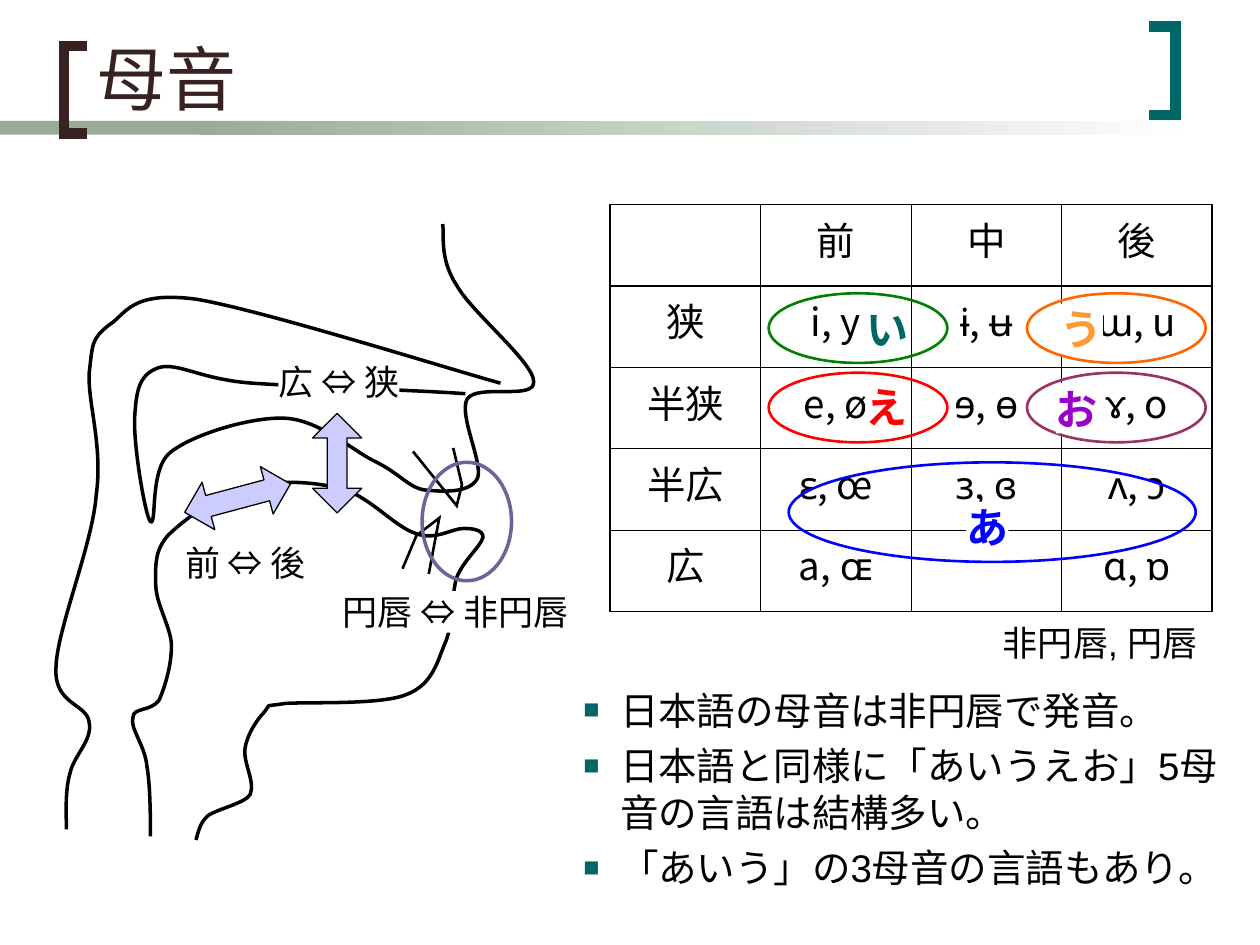
"""Build a slide on vowels with a vocal tract, a vowel table and notes."""
from dataclasses import dataclass

from lxml import etree
from pptx import Presentation
from pptx.dml.color import RGBColor
from pptx.enum.shapes import MSO_SHAPE
from pptx.enum.text import MSO_ANCHOR, MSO_AUTO_SIZE, PP_ALIGN
from pptx.oxml.ns import qn
from pptx.util import Pt

RECT, OVAL, ARROW = MSO_SHAPE.RECTANGLE, MSO_SHAPE.OVAL, MSO_SHAPE.UP_DOWN_ARROW
TOP, BOTTOM = MSO_ANCHOR.TOP, MSO_ANCHOR.BOTTOM
LEFT, CENTER = PP_ALIGN.LEFT, PP_ALIGN.CENTER
GROW, FIXED = MSO_AUTO_SIZE.SHAPE_TO_FIT_TEXT, MSO_AUTO_SIZE.NONE


@dataclass(frozen=True)
class Theme:
    """Colours, fonts and type sizes."""
    font: str = "Arial"
    asian: str = "Noto Sans CJK JP"
    ink: str = "000000"
    paper: str = "FFFFFF"
    brown: str = "372221"
    teal: str = "006666"
    sage: str = "9AAC98"
    lilac: str = "CCCCFF"
    slate: str = "666699"
    title: int = 40
    kana: int = 24
    body: int = 22
    label: int = 20


T = Theme()

FACE = [
    (253, 128), (254, 134), (251, 148), (261, 163), (269, 178), (305, 207), (305, 218),
    (306, 229), (273, 219), (267, 228), (262, 237), (276, 264), (273, 273),
    (269, 282), (253, 281), (243, 280), (234, 279), (229, 271), (215, 264),
    (202, 258), (183, 240), (163, 239), (144, 238), (111, 248), (98, 258),
    (85, 267), (90, 301), (86, 298), (83, 295), (76, 253), (77, 238),
    (78, 224), (79, 214), (91, 210), (102, 207), (115, 217), (145, 219),
    (174, 221), (240, 223), (266, 225)]
JAW = [
    (112, 480), (113, 477), (114, 470), (119, 466), (125, 462), (140, 459), (143, 454),
    (146, 447), (139, 436), (140, 428), (141, 420), (147, 411), (151, 407),
    (155, 402), (150, 404), (163, 402), (176, 401), (217, 403), (232, 397),
    (248, 391), (250, 377), (255, 366), (259, 355), (258, 340), (261, 330),
    (265, 320), (275, 312), (276, 307), (276, 303), (271, 302), (265, 302),
    (258, 302), (249, 309), (238, 305), (225, 301), (211, 283), (194, 279),
    (178, 275), (156, 274), (139, 279), (123, 284), (105, 297), (96, 306),
    (88, 315), (89, 324), (89, 334), (89, 345), (98, 359), (98, 369),
    (98, 381), (94, 393), (91, 400), (86, 407), (76, 404), (76, 410),
    (74, 416), (83, 426), (84, 438), (86, 449), (86, 470), (86, 478)]
THROAT = [
    (286, 219), (257, 211), (149, 177), (112, 171), (74, 166), (72, 180), (62, 186),
    (52, 194), (53, 197), (51, 213), (50, 230), (59, 255), (55, 283),
    (53, 311), (32, 361), (32, 382), (31, 403), (50, 402), (51, 413),
    (53, 423), (42, 432), (40, 442), (37, 452), (38, 467), (38, 474)]
LIPS = [[(259, 256), (264, 277), (261, 289), (236, 258)],
        [(230, 325), (238, 306), (251, 296), (245, 328)]]

VOWELS = [["", "前", "中", "後"],
          ["狭", "i, y", "ɨ, ʉ", "ɯ, u"],
          ["半狭", "e, ø", "ɘ, ɵ", "ɤ, o"],
          ["半広", "ɛ, œ", "ɜ, ɞ", "ʌ, ɔ"],
          ["広", "a, ɶ", "", "ɑ, ɒ"]]
RINGS = [(439.2, 167.6, 102.2, 39.8, "008000"), (439.2, 213, 102.2, 39.8, "FF0000"),
         (586.8, 167.6, 102.2, 39.8, "FF6600"), (586.8, 213, 102.2, 39.8, "993366"),
         (450.7, 264.2, 232.6, 56.9, "0000FF")]
KANA = [("あ", 552.2, 286.6, "0000FF"), ("い", 495.4, 173.5, T.teal),
        ("う", 606.2, 173.5, "FF9933"), ("え", 494.6, 218.2, "FF0000"),
        ("お", 603.4, 218.9, "9900CC")]
LABELS = [("円唇 ⇔ 非円唇", 195.8, 337.7, 129.6), ("広 ⇔ 狭", 159.1, 205.9, 69.1),
          ("前 ⇔ 後", 105.8, 309.6, 69.1)]
NOTES = ["日本語の母音は非円唇で発音。",
         "日本語と同様に「あいうえお」5母音の言語は結構多い。",
         "「あいう」の3母音の言語もあり。"]


def rgb(code):
    """Turn a hex code into a colour."""
    return RGBColor.from_string(code)


def paint(shape, fill=None, line=None, width=1):
    """Set the fill and line of a shape and drop its shadow."""
    shape.shadow.inherit = False
    for part, code in ((shape.fill, fill), (shape.line.fill, line)):
        if code:
            part.solid()
            part.fore_color.rgb = rgb(code)
        else:
            part.background()
    if line:
        shape.line.width = Pt(width)


def shape(shapes, kind, box, fill=None, line=None, width=1):
    """Add a preset shape."""
    item = shapes.add_shape(kind, *map(Pt, box))
    paint(item, fill, line, width)
    return item


def trace(shapes, points, line=T.ink, width=2):
    """Add an open outline through the points."""
    pen = shapes.build_freeform(*map(Pt, points[0]))
    pen.add_line_segments([tuple(map(Pt, p)) for p in points[1:]], close=False)
    item = pen.convert_to_shape()
    paint(item, None, line, width)
    rim = item._element.spPr.find(qn("a:ln"))
    etree.SubElement(rim, qn("a:miter"), lim="800000")
    return item


def curve(shapes, knots):
    """Add an open outline of cubic curves, three knots to a curve."""
    item = trace(shapes, knots)
    route = next(item._element.iter(qn("a:path")))
    steps = route.findall(qn("a:lnTo"))
    for i in range(0, len(steps), 3):
        bend = etree.SubElement(route, qn("a:cubicBezTo"))
        for step in steps[i:i + 3]:
            bend.append(step[0])
            route.remove(step)


def style(par, size, code=T.ink, bold=False, font=T.font, align=LEFT):
    """Set the type of a paragraph."""
    par.alignment = align
    par.font.size, par.font.bold, par.font.name = Pt(size), bold, font
    par.font.color.rgb = rgb(code)
    base = par._p.pPr.find(qn("a:defRPr"))
    etree.SubElement(base, qn("a:ea"), typeface=T.asian)


def text(shapes, box, lines, size, code=T.ink, bold=False, fill=None,
         pad=(0, 0), wrap=False, anchor=TOP):
    """Add a text box and return its paragraphs."""
    item = shapes.add_textbox(*map(Pt, box))
    if fill:
        paint(item, fill)
    frame = item.text_frame
    frame.word_wrap, frame.vertical_anchor = wrap, anchor
    frame.auto_size = FIXED if wrap else GROW
    frame.margin_left = frame.margin_right = Pt(pad[0])
    frame.margin_top = frame.margin_bottom = Pt(pad[1])
    frame.text = "\n".join(lines)
    for par in frame.paragraphs:
        style(par, size, code, bold)
    return frame.paragraphs


def bullet(par):
    """Give a paragraph a square bullet and a hanging indent."""
    par.space_before = Pt(5.5)
    props = par._p.pPr
    props.set("marL", str(Pt(21)))
    props.set("indent", str(-Pt(21)))
    props.set("hangingPunct", "0")
    base = props.find(qn("a:defRPr"))
    tint = etree.Element(qn("a:buClr"))
    etree.SubElement(tint, qn("a:srgbClr"), val=T.teal)
    base.addprevious(tint)
    for tag, key, value in (("buSzPct", "val", "70000"), ("buFont", "typeface", T.font),
                            ("buChar", "char", "■")):
        base.addprevious(etree.Element(qn("a:" + tag), {key: value}))


def edge(tag, width):
    """Make one border of a cell."""
    line = etree.Element(qn("a:" + tag), w=str(Pt(width)))
    fill = etree.SubElement(line, qn("a:solidFill"))
    etree.SubElement(fill, qn("a:srgbClr"), val=T.ink)
    return line


def grid(shapes, rows):
    """Add the vowel table with a strong frame and header lines."""
    high, wide = len(rows), len(rows[0])
    table = shapes.add_table(high, wide, Pt(348.7), Pt(116.9), Pt(344), Pt(232.5)).table
    for col in table.columns:
        col.width = Pt(86)
    for y, row in enumerate(rows):
        table.rows[y].height = Pt(46.5)
        for x, word in enumerate(row):
            cell = table.cell(y, x)
            cell.fill.background()
            cell.text = word
            par = cell.text_frame.paragraphs[0]
            style(par, T.body, font=T.asian if x and y else T.font, align=CENTER)
            par.space_before = Pt(5.5)
            sides = (("lnL", x, wide), ("lnR", x + 1, wide),
                     ("lnT", y, high), ("lnB", y + 1, high))
            for i, (tag, at, end) in enumerate(sides):
                width = 1.08 if at in (0, 1, end) else 0.45
                cell._tc.tcPr.insert(i, edge(tag, width))


def frame(shapes):
    """Draw the title band and its brackets."""
    shape(shapes, RECT, (0, 69.1, 167.8, 7.9), T.sage)
    fade = shape(shapes, RECT, (113.8, 69.1, 570.2, 7.9)).fill
    fade.gradient()
    fade.gradient_angle = 0
    for stop, code in zip(fade.gradient_stops, (T.sage, T.paper)):
        stop.color.rgb = rgb(code)
    for tip, back, top, low, code in ((49.7, 36.7, 26.2, 76.3, T.brown),
                                      (656.6, 671.8, 15.1, 65.8, T.teal)):
        trace(shapes, [(tip, top), (back, top), (back, low), (tip, low)], code, 6)


def tract(shapes):
    """Draw the vocal tract with its arrows and labels."""
    head = shapes.add_group_shape().shapes
    for knots in (FACE, JAW):
        curve(head, knots)
    for lip in LIPS:
        trace(head, lip, width=1.5)
    curve(head, THROAT)
    for box, turn, tip in (((178.6, 236.2, 28.1, 56.9), 0, 0.4),
                           ((121.7, 253.4, 28.1, 62.6), 75, 0.44)):
        arrow = shape(shapes, ARROW, box, T.lilac, T.ink, 0.75)
        arrow.rotation = turn
        arrow.adjustments[0], arrow.adjustments[1] = 0.5, tip
    shape(shapes, OVAL, (241.2, 264.2, 51.1, 67.7), None, T.slate, 2)
    for word, x, y, wide in LABELS:
        text(shapes, (x, y, wide, 23.8), [word], T.label, fill=T.paper)


def marks(shapes):
    """Ring the vowels and name them in kana."""
    group = shapes.add_group_shape().shapes
    for *box, code in RINGS:
        shape(group, OVAL, box, None, code, 1.5)
    for word, x, y, code in KANA:
        text(group, (x, y, 24, 28.8), [word], T.kana, code, True, T.paper)


def main():
    """Build and save the slide."""
    deck = Presentation()
    deck.slide_width, deck.slide_height = Pt(720), Pt(540)
    shapes = deck.slides.add_slide(deck.slide_layouts[6]).shapes
    frame(shapes)
    text(shapes, (48.2, 7.9, 623.5, 64.1), ["母音"], T.title, T.brown,
         pad=(7.2, 3.6), wrap=True, anchor=BOTTOM)
    tract(shapes)
    grid(shapes, VOWELS)
    text(shapes, (573.1, 355, 121, 23.8), ["非円唇, 円唇"], T.label)
    marks(shapes)
    for par in text(shapes, (326.2, 388.8, 380.2, 136.1), NOTES, T.body,
                    pad=(7.2, 3.6), wrap=True):
        bullet(par)
    deck.save("out.pptx")


main()
